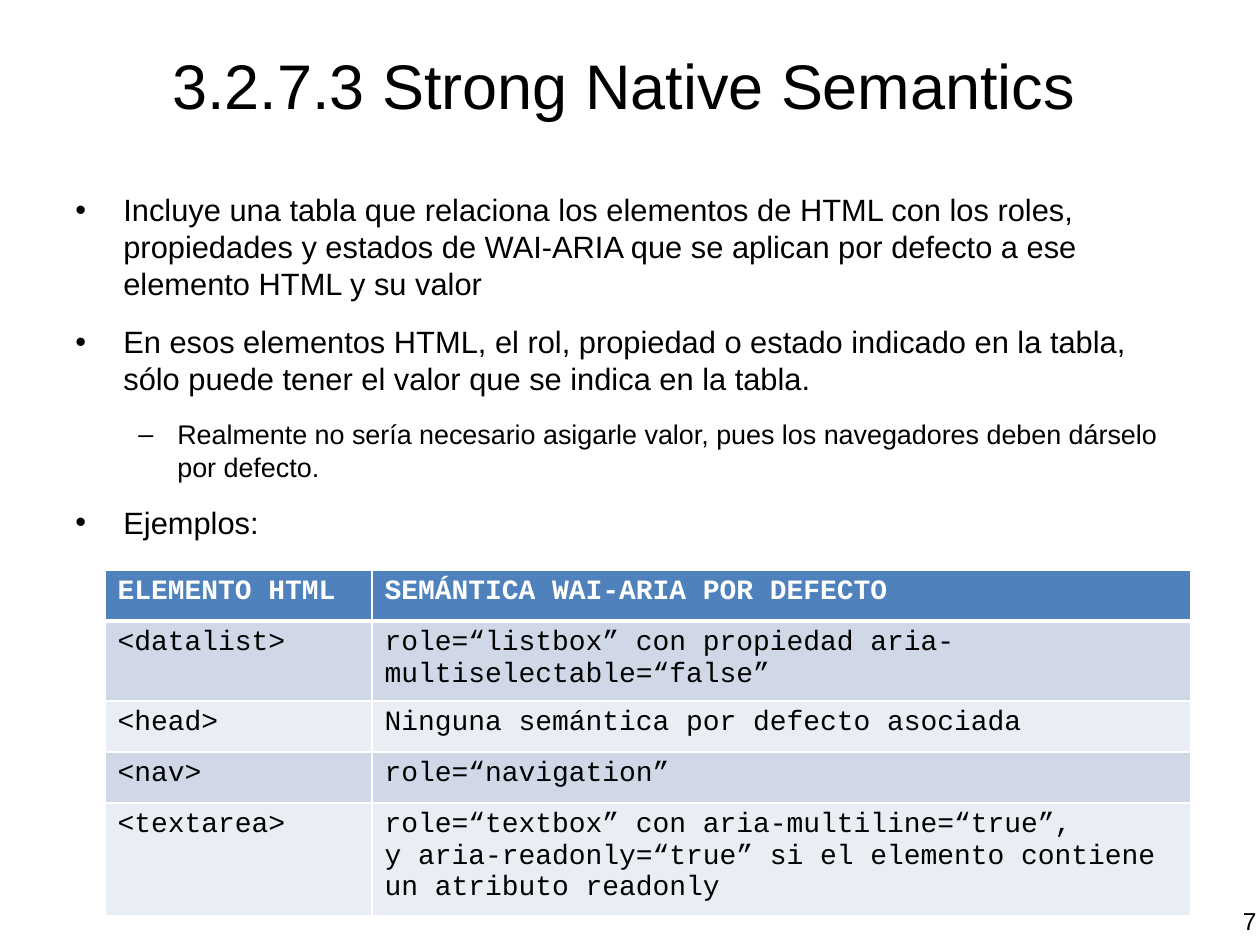
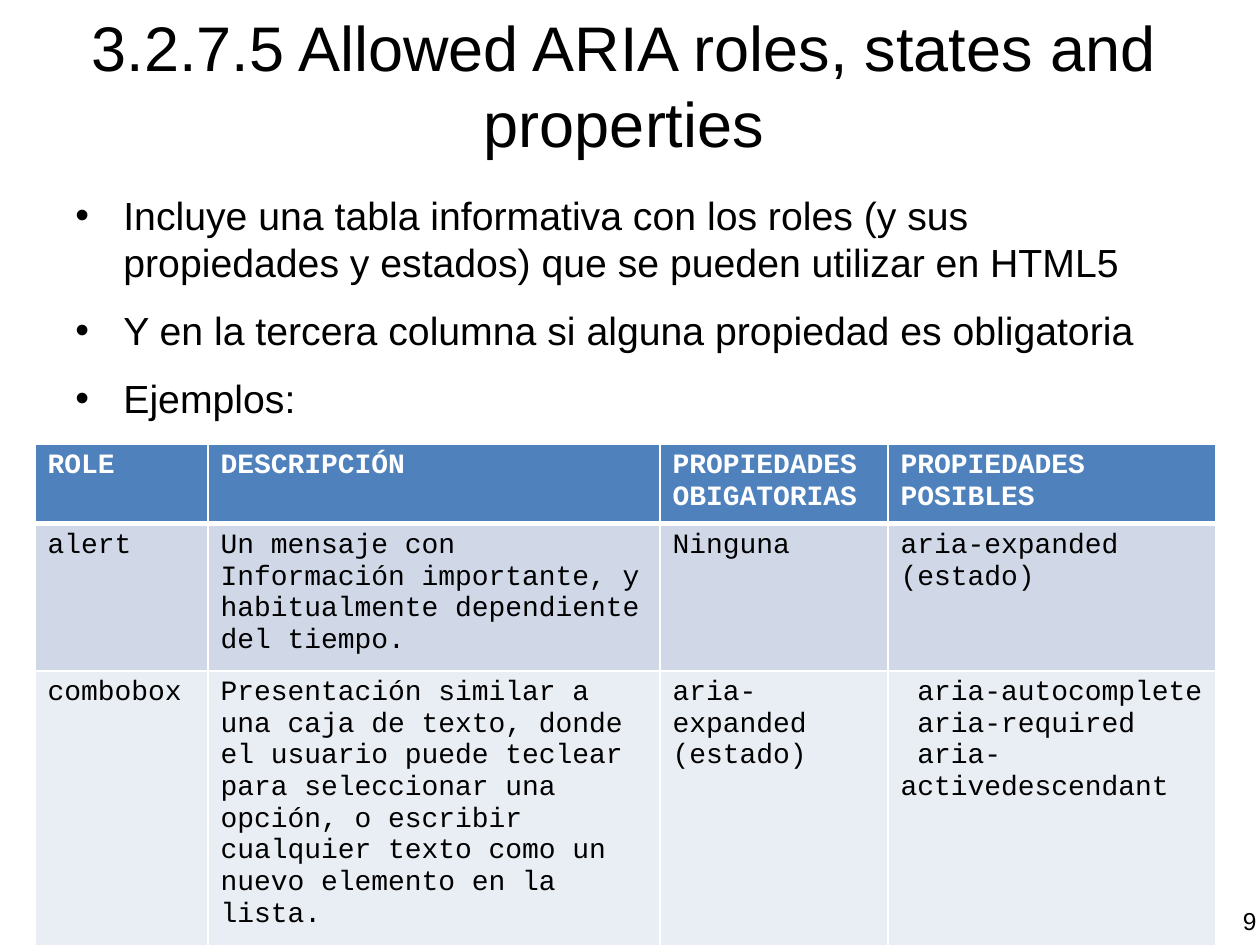
from pptx import Presentation
from pptx.util import Emu, Pt
from pptx.dml.color import RGBColor
from pptx.enum.text import MSO_ANCHOR, PP_ALIGN
from pptx.oxml.ns import qn
from lxml.etree import Element, SubElement

SCALE = 914400 // 126
COLORS = {"text": "000000", "page": "FFFFFF", "head": "4F81BD",
          "odd": "D0D8E8", "even": "E9EDF4", "line": "FFFFFF"}
SANS, MONO = "Arial", "Courier New"
TITLE = (57, 0, 1134, 168)
NUMBER = (975, 896, 294, 50)
ROW = 51
# Bullet, left margin and hanging indent of each level
LEVELS = [("•", 48, 48), ("–", 102, 39)]


def px(n):
    """Turn pixels into EMU."""
    return Emu(round(n * SCALE))


def rgb(name):
    """Look up a colour by name."""
    return RGBColor.from_string(COLORS[name])


def write(para, text, size, font=SANS, color="text", bold=False):
    """Add one run to a paragraph."""
    run = para.add_run()
    run.text = text
    run.font.size = Pt(size)
    run.font.name = font
    run.font.bold = bold
    run.font.color.rgb = rgb(color)


def frame(slide, box, anchor=MSO_ANCHOR.MIDDLE):
    """Add a wrapping text box and return its text frame."""
    area = slide.shapes.add_textbox(*map(px, box)).text_frame
    area.word_wrap = True
    area.vertical_anchor = anchor
    return area


def label(slide, box, text, size, align):
    """Place a single aligned paragraph in a box."""
    para = frame(slide, box).paragraphs[0]
    para.alignment = align
    write(para, text, size)


def bullets(slide, box, items):
    """Place bulleted paragraphs given as (level, size, text)."""
    area = frame(slide, box, MSO_ANCHOR.TOP)
    for i, (level, size, text) in enumerate(items):
        para = area.add_paragraph() if i else area.paragraphs[0]
        para.level = level
        para.space_before = Pt(12)
        mark, left, hang = LEVELS[level]
        props = para._p.get_or_add_pPr()
        props.set("marL", str(px(left)))
        props.set("indent", str(-px(hang)))
        SubElement(props, qn("a:buFont"), typeface=SANS)
        SubElement(props, qn("a:buChar"), char=mark)
        write(para, text, size)


def border(cell, row):
    """Draw the cell's lines, thick between header and body."""
    props = cell._tc.get_or_add_tcPr()
    thick = {0: "lnB", 1: "lnT"}.get(row)
    for i, side in enumerate(("lnL", "lnR", "lnT", "lnB")):
        line = Element(qn("a:" + side), w=str(Pt(3 if side == thick else 1)))
        fill = SubElement(line, qn("a:solidFill"))
        SubElement(fill, qn("a:srgbClr"), val=COLORS["line"])
        props.insert(i, line)


def grid(slide, spot, widths, rows):
    """Place a table with a header and banded rows at a spot."""
    size = (sum(widths), ROW * len(rows))
    table = slide.shapes.add_table(len(rows), len(widths),
                                   *map(px, spot + size)).table
    for col, width in zip(table.columns, widths):
        col.width = px(width)
    for r, texts in enumerate(rows):
        table.rows[r].height = px(ROW)
        band = "head" if r == 0 else "odd" if r % 2 else "even"
        for c, text in enumerate(texts):
            cell = table.cell(r, c)
            cell.fill.solid()
            cell.fill.fore_color.rgb = rgb(band)
            border(cell, r)
            parts = [text] if isinstance(text, str) else text
            for i, part in enumerate(parts):
                area = cell.text_frame
                para = area.add_paragraph() if i else area.paragraphs[0]
                write(para, part, 16, MONO,
                      "page" if r == 0 else "text", r == 0)


def page(deck, title, number):
    """Add a slide with its title and number."""
    slide = deck.slides.add_slide(deck.slide_layouts[6])
    slide.background.fill.solid()
    slide.background.fill.fore_color.rgb = rgb("page")
    label(slide, TITLE, title, 36, PP_ALIGN.CENTER)
    label(slide, NUMBER, number, 14, PP_ALIGN.RIGHT)
    return slide


def native(deck):
    """Build the slide on strong native semantics."""
    slide = page(deck, "3.2.7.3 Strong Native Semantics", "7")
    bullets(slide, (63, 185, 1134, 367), [
        (0, 17.6, "Incluye una tabla que relaciona los elementos de HTML con "
         "los roles, propiedades y estados de WAI-ARIA que se aplican por "
         "defecto a ese elemento HTML y su valor"),
        (0, 17.6, "En esos elementos HTML, el rol, propiedad o estado "
         "indicado en la tabla, sólo puede tener el valor que se indica en "
         "la tabla."),
        (1, 15.4, "Realmente no sería necesario asigarle valor, pues los "
         "navegadores deben dárselo por defecto."),
        (0, 17.6, "Ejemplos:")])
    grid(slide, (105, 570), (267, 819), [
        ("ELEMENTO HTML", "SEMÁNTICA WAI-ARIA POR DEFECTO"),
        ("<datalist>", "role=“listbox” con propiedad "
         "aria-multiselectable=“false”"),
        ("<head>", "Ninguna semántica por defecto asociada"),
        ("<nav>", "role=“navigation”"),
        ("<textarea>", ("role=“textbox” con aria-multiline=“true”,",
                        "y aria-readonly=“true” si el elemento contiene "
                        "un atributo readonly"))])


def allowed(deck):
    """Build the slide on allowed roles, states and properties."""
    slide = page(deck, "3.2.7.5 Allowed ARIA roles, states and properties",
                 "9")
    bullets(slide, (63, 185, 1134, 258), [
        (0, 22.4, "Incluye una tabla informativa con los roles (y sus "
         "propiedades y estados) que se pueden utilizar en HTML5"),
        (0, 22.4, "Y en la tercera columna si alguna propiedad es "
         "obligatoria"),
        (0, 22.4, "Ejemplos:")])
    grid(slide, (35, 444), (173, 452, 228, 328), [
        ("ROLE", "DESCRIPCIÓN", "PROPIEDADES OBIGATORIAS",
         "PROPIEDADES POSIBLES"),
        ("alert", "Un mensaje con Información importante, y habitualmente "
         "dependiente del tiempo.", "Ninguna", "aria-expanded (estado)"),
        ("combobox", "Presentación similar a una caja de texto, donde el "
         "usuario puede teclear para seleccionar una opción, o escribir "
         "cualquier texto como un nuevo elemento en la lista.",
         "aria-expanded (estado)",
         (" aria-autocomplete", " aria-required",
          " aria-activedescendant"))])


deck = Presentation()
deck.slide_width, deck.slide_height = px(1260), px(945)
native(deck)
allowed(deck)
deck.save("out.pptx")
